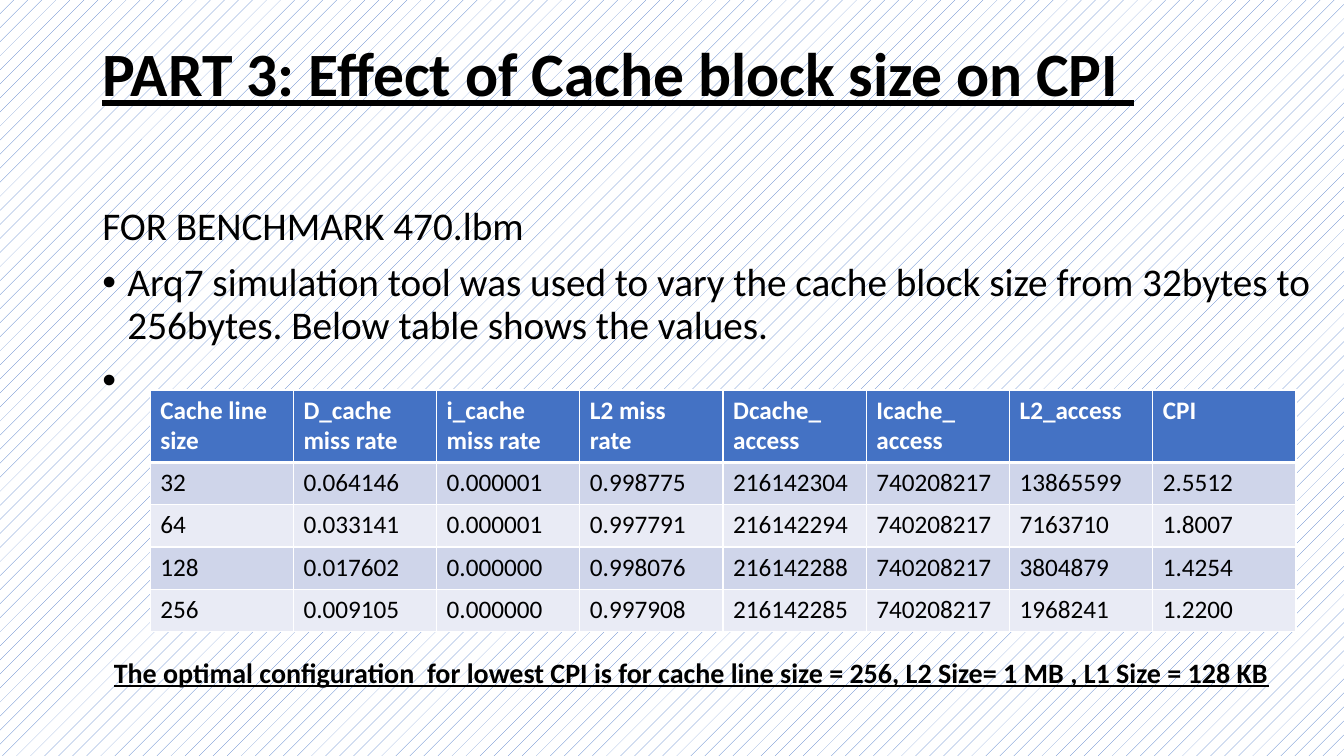
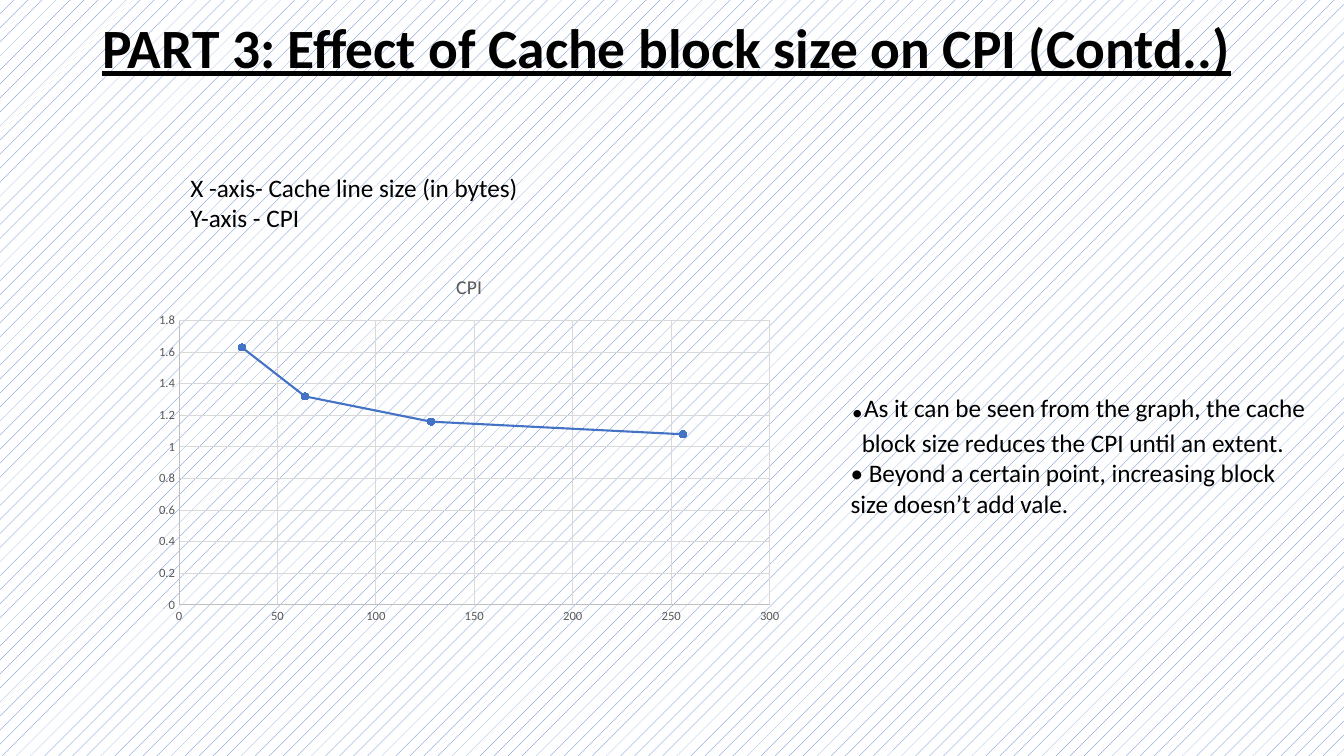
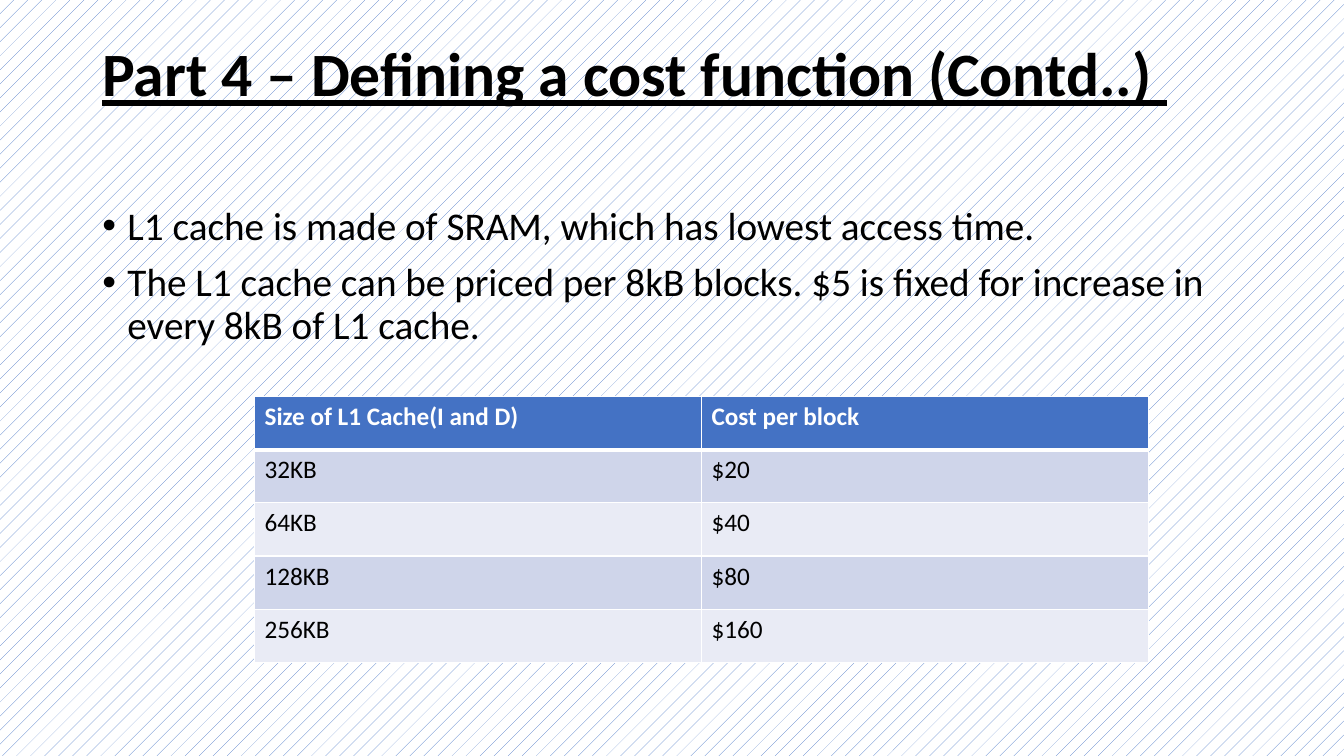
"""Build three slides on cache block size and the cost of L1 cache."""
from dataclasses import dataclass
from typing import Any, Optional, Sequence

import pptx
import pptx.chart.data
import pptx.dml.color
import pptx.enum.chart
import pptx.enum.dml
import pptx.enum.text
import pptx.oxml
import pptx.oxml.ns
import pptx.util

Pt = pptx.util.Pt


@dataclass(frozen=True)
class Theme:
    font: str = "Calibri"
    black: str = "000000"
    white: str = "FFFFFF"
    accent: str = "4472C4"
    bands: tuple[str, str] = ("CFD5EA", "E9EBF5")
    label: str = "595959"
    axis: str = "BFBFBF"
    grid: str = "D9D9D9"
    title_size: float = 44
    long_title_size: float = 39.6
    body_size: float = 28
    note_size: float = 20
    text_size: float = 18
    dot_size: float = 36
    chart_title_size: float = 14
    chart_size: float = 10
    tick_size: float = 9


@dataclass(frozen=True)
class Box:
    left: float
    top: float
    width: float
    height: float

    def lengths(self) -> tuple[int, int, int, int]:
        return Pt(self.left), Pt(self.top), Pt(self.width), Pt(self.height)


@dataclass(frozen=True)
class Grid:
    box: Box
    row_heights: Sequence[float]
    rows: Sequence[Sequence[str]]


THEME = Theme()
TITLE_BOX = Box(66, 27.4, 828, 104.4)


def rgb(colour: str) -> pptx.dml.color.RGBColor:
    return pptx.dml.color.RGBColor.from_string(colour)


def style_font(font: Any, size: float, colour: str = THEME.black,
               bold: bool = False, underline: bool = False) -> None:
    font.name, font.size = THEME.font, Pt(size)
    font.bold, font.underline = bold, underline
    font.color.rgb = rgb(colour)


def write(tf: Any, text: str, *, size: float = THEME.text_size,
          colour: str = THEME.black, bold: bool = False, underline: bool = False,
          line_spacing: Optional[float] = None, space_before: float = 0,
          left: float = 0, bullet: bool = False) -> Any:
    p = tf.paragraphs[-1]
    if p.text:
        p = tf.add_paragraph()
    p.text = text
    p.line_spacing = line_spacing
    p.space_before = Pt(space_before)
    for r in p.runs:
        style_font(r.font, size, colour, bold, underline)
    pPr = p._p.get_or_add_pPr()
    if left:
        pPr.set("marL", str(Pt(left)))
    if bullet:
        pPr.set("marL", str(Pt(18)))
        pPr.set("indent", str(Pt(-18)))
        for tag, key, value in (("buFont", "typeface", "Arial"), ("buChar", "char", "•")):
            mark = pptx.oxml.parse_xml(f'<a:{tag} {pptx.oxml.ns.nsdecls("a")} {key}="{value}"/>')
            pPr.append(mark)
    return p


def add_text_frame(s: Any, box: Box, wrap: bool = True, grow: bool = False) -> Any:
    tf = s.shapes.add_textbox(*box.lengths()).text_frame
    tf.word_wrap = wrap
    sizes = pptx.enum.text.MSO_AUTO_SIZE
    tf.auto_size = sizes.SHAPE_TO_FIT_TEXT if grow else sizes.NONE
    return tf


def add_slide(prs: Any, title: str, size: float = THEME.title_size,
              box: Box = TITLE_BOX) -> Any:
    s = prs.slides.add_slide(prs.slide_layouts[6])
    fill = s.background.fill
    fill.patterned()
    fill.pattern = pptx.enum.dml.MSO_PATTERN.PERCENT_5
    fill.fore_color.rgb, fill.back_color.rgb = rgb(THEME.accent), rgb(THEME.white)
    write(add_text_frame(s, box), title, size=size, bold=True, underline=True,
          line_spacing=0.9)
    return s


def add_body(s: Any, box: Box, lines: Sequence[tuple[str, bool]]) -> None:
    tf = add_text_frame(s, box)
    for text, bullet in lines:
        write(tf, text, size=THEME.body_size, line_spacing=0.9, space_before=10,
              bullet=bullet)


def add_borders(cell: Any, bottom: float) -> None:
    tcPr = cell._tc.get_or_add_tcPr()
    for side, width in (("L", 1), ("R", 1), ("T", 1), ("B", bottom)):
        tcPr.append(pptx.oxml.parse_xml(
            f'<a:ln{side} {pptx.oxml.ns.nsdecls("a")} w="{Pt(width)}"><a:solidFill>'
            f'<a:srgbClr val="{THEME.white}"/></a:solidFill></a:ln{side}>'))


def add_grid(s: Any, grid: Grid) -> None:
    columns = len(grid.rows[0])
    table = s.shapes.add_table(len(grid.rows), columns, *grid.box.lengths()).table
    for column in table.columns:
        column.width = Pt(grid.box.width / columns)
    for i, (height, values) in enumerate(zip(grid.row_heights, grid.rows)):
        table.rows[i].height = Pt(height)
        header = i == 0
        for cell, value in zip(table.rows[i].cells, values):
            add_borders(cell, 3 if header else 1)
            cell.fill.solid()
            cell.fill.fore_color.rgb = rgb(THEME.accent if header else THEME.bands[(i - 1) % 2])
            for line in value.split("\n"):
                write(cell.text_frame, line, bold=header,
                      colour=THEME.white if header else THEME.black)


def style_line(line: Any, colour: str, width: float) -> None:
    line.color.rgb, line.width = rgb(colour), Pt(width)


def add_cpi_chart(s: Any, box: Box, points: Sequence[tuple[float, float]]) -> None:
    data = pptx.chart.data.XyChartData()
    cpi = data.add_series("CPI")
    for x, y in points:
        cpi.add_data_point(x, y)
    kinds = pptx.enum.chart
    chart = s.shapes.add_chart(kinds.XL_CHART_TYPE.XY_SCATTER_LINES, *box.lengths(), data).chart
    style_font(chart.font, THEME.chart_size)
    chart.has_legend = False
    chart.has_title = True
    write(chart.chart_title.text_frame, "CPI", size=THEME.chart_title_size, colour=THEME.label)
    chart.chart_title.include_in_layout = False
    chart.plots[0].vary_by_categories = False
    for axis, top, step in ((chart.category_axis, 300, 50), (chart.value_axis, 1.8, 0.2)):
        axis.minimum_scale, axis.maximum_scale, axis.major_unit = 0, top, step
        axis.major_tick_mark = axis.minor_tick_mark = kinds.XL_TICK_MARK.NONE
        axis.has_major_gridlines = True
        style_line(axis.major_gridlines.format.line, THEME.grid, 0.75)
        style_line(axis.format.line, THEME.axis, 0.75)
        style_font(axis.tick_labels.font, THEME.tick_size, THEME.label)
        axis.tick_labels.number_format = "General"
        axis.tick_labels.number_format_is_linked = False
    series = chart.plots[0].series[0]
    series.smooth = False
    style_line(series.format.line, THEME.accent, 1.5)
    series.marker.style, series.marker.size = kinds.XL_MARKER_STYLE.CIRCLE, 5
    series.marker.format.fill.solid()
    series.marker.format.fill.fore_color.rgb = rgb(THEME.accent)
    style_line(series.marker.format.line, THEME.accent, 0.75)


def build_block_size_table(prs: Any) -> None:
    s = add_slide(prs, "PART 3: Effect of Cache block size on CPI ")
    add_body(s, Box(66, 144, 883.5, 335.5), (
        ("FOR BENCHMARK 470.lbm", False),
        ("Arq7 simulation tool was used to vary the cache block size from 32bytes "
         "to 256bytes. Below table shows the values.", True),
        (" ", True)))
    add_grid(s, Grid(Box(107.3, 278.6, 818.64, 172.8), [51.8] + [30.2] * 4, (
        ("Cache line size", "D_cache miss rate", "i_cache miss rate", "L2 miss rate",
         "Dcache_\naccess", "Icache_\naccess", "L2_access", "CPI"),
        ("32", "0.064146", "0.000001", "0.998775", "216142304", "740208217", "13865599", "2.5512"),
        ("64", "0.033141", "0.000001", "0.997791", "216142294", "740208217", "7163710", "1.8007"),
        ("128", "0.017602", "0.000000", "0.998076", "216142288", "740208217", "3804879", "1.4254"),
        ("256", "0.009105", "0.000000", "0.997908", "216142285", "740208217", "1968241", "1.2200"),
    )))
    note = add_text_frame(s, Box(74.2, 464.4, 846.7, 31.5), wrap=False, grow=True)
    write(note, "The optimal configuration  for lowest CPI is for cache line size = 256, "
          "L2 Size= 1 MB , L1 Size = 128 KB", size=THEME.note_size, bold=True, underline=True)


def build_block_size_chart(prs: Any) -> None:
    s = add_slide(prs, "PART 3: Effect of Cache block size on CPI (Contd..)",
                  THEME.long_title_size, Box(66, 11, 828, 104.4))
    add_cpi_chart(s, Box(104.4, 183.6, 461.5, 267.1),
                  ((32, 1.63), (64, 1.32), (128, 1.16), (256, 1.08)))
    axes = add_text_frame(s, Box(128.9, 119.5, 251.3, 51), wrap=False, grow=True)
    write(axes, "X -axis- Cache line size (in bytes)")
    write(axes, "Y-axis - CPI")
    findings = add_text_frame(s, Box(600.5, 258.5, 347.8, 138.2), grow=True)
    p = write(findings, ".", size=THEME.dot_size, bold=True)
    r = p.add_run()
    r.text = "As it can be seen from the graph, the cache"
    style_font(r.font, THEME.text_size)
    write(findings, "block size reduces the CPI until an extent.", left=8)
    write(findings, "• Beyond a certain point, increasing block\vsize doesn’t add vale.")


def build_cost_function(prs: Any) -> None:
    s = add_slide(prs, "Part 4 – Defining a cost function (Contd..) ")
    add_body(s, Box(66, 144, 828, 342.7), (
        ("L1 cache is made of SRAM, which has lowest access time.", True),
        ("The L1 cache can be priced per 8kB blocks. $5 is fixed for increase in "
         "every 8kB of L1 cache.", True)))
    add_grid(s, Grid(Box(181.8, 283.2, 638.6, 190), [38] * 5, (
        ("Size of L1 Cache(I and D)", "Cost per block"),
        ("32KB", "$20"), ("64KB", "$40"), ("128KB", "$80"), ("256KB", "$160"))))


def main() -> None:
    prs = pptx.Presentation()
    prs.slide_width, prs.slide_height = Pt(960), Pt(540)
    build_block_size_table(prs)
    build_block_size_chart(prs)
    build_cost_function(prs)
    prs.save("out.pptx")


main()
